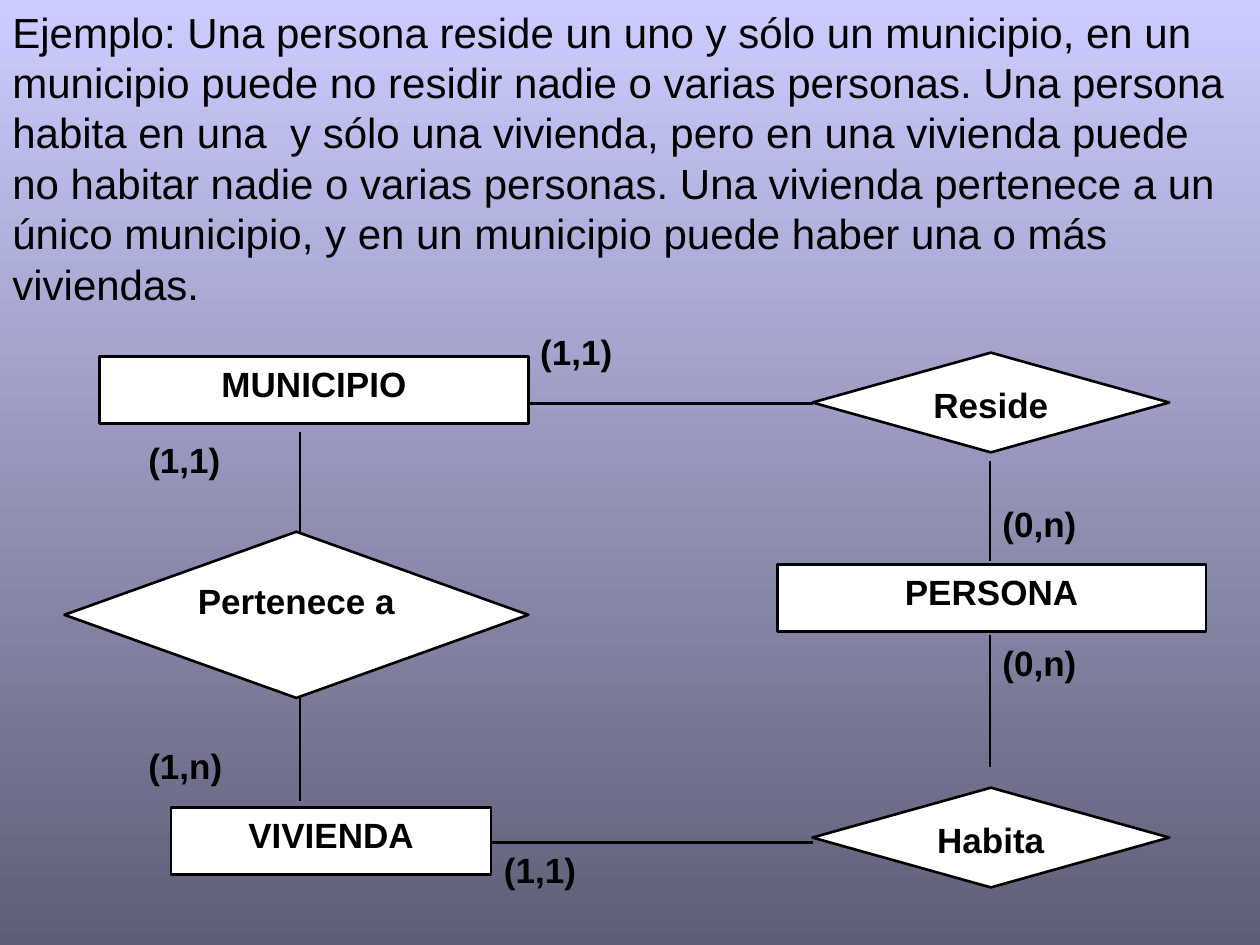
from dataclasses import dataclass

from lxml import etree
from pptx import Presentation
from pptx.dml.color import RGBColor
from pptx.enum.shapes import MSO_CONNECTOR as Connector, MSO_SHAPE as Shape
from pptx.enum.text import MSO_ANCHOR as Anchor, PP_ALIGN as Align
from pptx.oxml.ns import qn
from pptx.util import Cm, Pt


@dataclass(frozen=True)
class Theme:
    font: str = "Arial"
    ink: RGBColor = RGBColor(0x00, 0x00, 0x00)
    paper: RGBColor = RGBColor(0xFF, 0xFF, 0xFF)
    sky: RGBColor = RGBColor(0xCC, 0xCC, 0xFF)
    dusk: RGBColor = RGBColor(0x5E, 0x5E, 0x76)
    statement_size: Pt = Pt(24)
    diagram_size: Pt = Pt(20)
    line_width: Pt = Pt(1.5)


THEME = Theme()

STATEMENT = (
    "Ejemplo: Una persona reside un uno y sólo un municipio, en un municipio "
    "puede no residir nadie o varias personas. Una persona habita en una  y "
    "sólo una vivienda, pero en una vivienda puede no habitar nadie o varias "
    "personas. Una vivienda pertenece a un único municipio, y en un municipio "
    "puede haber una o más viviendas."
)

ROW_HEIGHT = 1.35
LABEL_WIDTH = 2.87
LEFT_AXIS = 6.05
RIGHT_AXIS = 19.96
DIAMOND_LEFT = 16.38

LINKS = [
    (LEFT_AXIS, 8.71, LEFT_AXIS, 10.72),
    (LEFT_AXIS, 12.8, LEFT_AXIS, 16.15),
    (RIGHT_AXIS, 9.3, RIGHT_AXIS, 11.3),
    (RIGHT_AXIS, 12.8, RIGHT_AXIS, 15.47),
    (10.64, 8.13, DIAMOND_LEFT, 8.13),
    (9.91, 16.99, DIAMOND_LEFT, 16.99),
]

ENTITIES = [
    ("MUNICIPIO", 2.01, 7.19, 8.64),
    ("PERSONA", 15.67, 11.38, 8.64),
    ("VIVIENDA", 3.45, 16.28, 6.45),
]

RELATIONSHIPS = [
    ("Pertenece a", 1.3, 10.72, 9.35, 3.35),
    ("Reside", DIAMOND_LEFT, 7.11, 7.19, 2.01),
    ("Habita", DIAMOND_LEFT, 15.88, 7.19, 2.01),
]

CARDINALITIES = [
    ("(1,1)", 2.74, 8.71),
    ("(1,n)", 2.74, 14.88),
    ("(1,1)", 10.64, 6.53),
    ("(0,n)", RIGHT_AXIS, 10.01),
    ("(0,n)", RIGHT_AXIS, 12.8),
    ("(1,1)", 9.91, 16.99),
]


def paint_background(slide):
    fill = slide.background.fill
    fill.gradient()
    fill.gradient_angle = 270
    for stop, position, color in zip(
        fill.gradient_stops, (0, 1), (THEME.sky, THEME.dusk)
    ):
        stop.position = position
        stop.color.rgb = color


def write_text(shape, text, size, bold, align):
    frame = shape.text_frame
    frame.word_wrap = True
    frame.vertical_anchor = Anchor.TOP
    paragraph = frame.paragraphs[0]
    paragraph.alignment = align
    run = paragraph.add_run()
    run.text = text
    run.font.name = THEME.font
    run.font.size = size
    run.font.bold = bold
    run.font.color.rgb = THEME.ink
    return paragraph


def add_statement(slide):
    box = slide.shapes.add_textbox(Cm(0), Cm(0), Cm(25.4), Cm(6.35))
    paragraph = write_text(
        box, STATEMENT, THEME.statement_size, False, Align.LEFT
    )
    paragraph.space_before = Pt(15)


def add_link(slide, start_x, start_y, end_x, end_y):
    link = slide.shapes.add_connector(
        Connector.STRAIGHT, Cm(start_x), Cm(start_y), Cm(end_x), Cm(end_y)
    )
    link.line.color.rgb = THEME.ink
    link.line.width = THEME.line_width
    etree.SubElement(link._element.spPr, qn("a:effectLst"))


def add_node(slide, kind, text, left, top, width, height=ROW_HEIGHT):
    node = slide.shapes.add_shape(
        kind, Cm(left), Cm(top), Cm(width), Cm(height)
    )
    node.shadow.inherit = False
    node.fill.solid()
    node.fill.fore_color.rgb = THEME.paper
    node.line.color.rgb = THEME.ink
    node.line.width = THEME.line_width
    write_text(node, text, THEME.diagram_size, True, Align.CENTER)


def add_cardinality(slide, text, left, top):
    label = slide.shapes.add_textbox(
        Cm(left), Cm(top), Cm(LABEL_WIDTH), Cm(ROW_HEIGHT)
    )
    write_text(label, text, THEME.diagram_size, True, Align.LEFT)


def main():
    presentation = Presentation()
    presentation.slide_width = Cm(25.4)
    presentation.slide_height = Cm(19.05)
    slide = presentation.slides.add_slide(presentation.slide_layouts[6])
    paint_background(slide)
    add_statement(slide)
    for link in LINKS:
        add_link(slide, *link)
    for entity in ENTITIES:
        add_node(slide, Shape.RECTANGLE, *entity)
    for relationship in RELATIONSHIPS:
        add_node(slide, Shape.DIAMOND, *relationship)
    for cardinality in CARDINALITIES:
        add_cardinality(slide, *cardinality)
    presentation.save("out.pptx")


if __name__ == "__main__":
    main()
